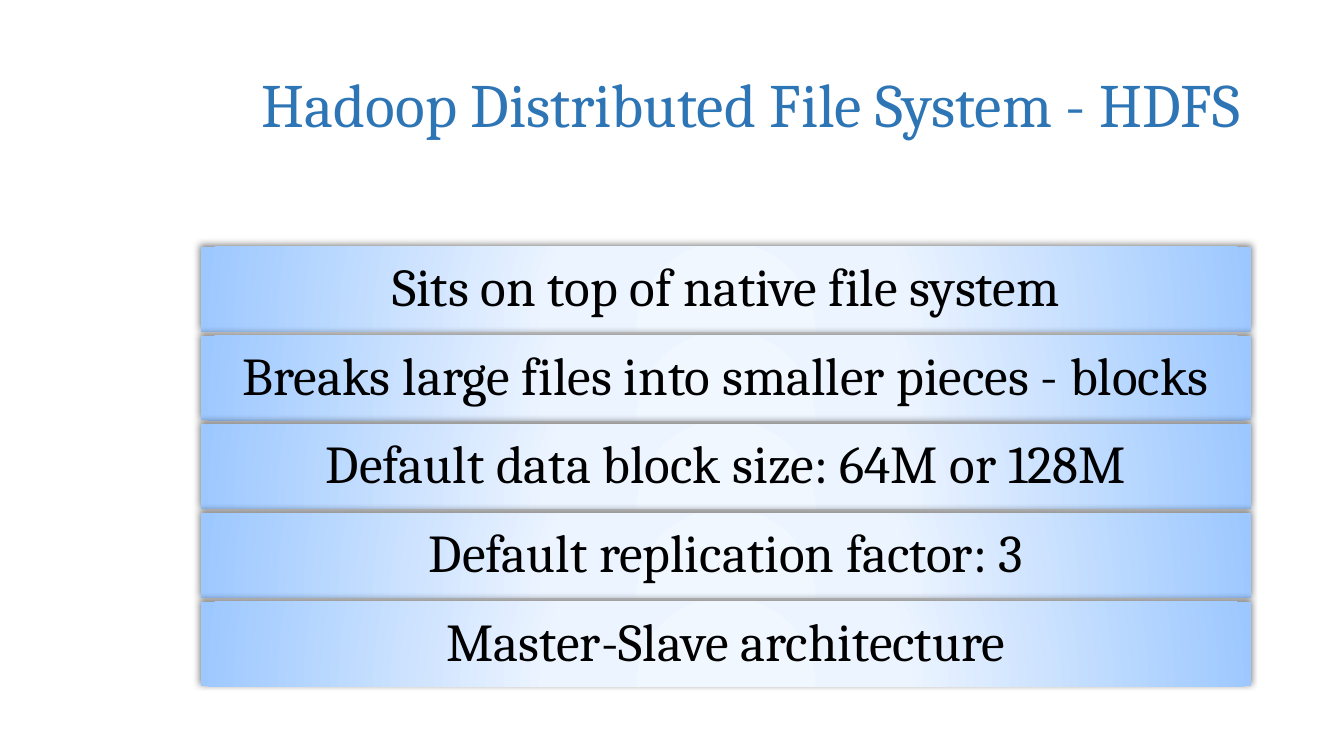
"""Build a slide on HDFS: a title above five stacked gradient bars."""
from dataclasses import dataclass

from pptx import Presentation
from pptx.dml.color import RGBColor
from pptx.enum.shapes import MSO_SHAPE
from pptx.enum.text import MSO_ANCHOR, PP_ALIGN
from pptx.oxml import parse_xml
from pptx.oxml.ns import nsdecls
from pptx.util import Inches, Pt

TITLE = "Hadoop Distributed File System - HDFS"
FACTS = [
    "Sits on top of native file system",
    "Breaks large files into smaller pieces - blocks",
    "Default data block size: 64M or 128M",
    "Default replication factor: 3",
    "Master-Slave architecture",
]


@dataclass(frozen=True)
class Theme:
    font: str = "Cambria"
    title_size: int = 44
    bar_size: int = 38
    title_color: str = "2E75B6"
    bar_color: str = "000000"
    shadow_color: str = "000000"
    gradient: tuple = ((0, "F1F7FF"), (34, "ECF4FF"), (100, "9DC8FF"))


THEME = Theme()
SLIDE_W, SLIDE_H = 13.33, 7.5
RIGHT = 12.41
TITLE_LEFT, TITLE_TOP, TITLE_H = 1.21, 0.44, 1.25
BAR_LEFT, BAR_TOP, BAR_H, BAR_PITCH = 1.99, 2.45, 0.84, 0.88
BAR_INSET = 0.11


def format_text(tf, text, size, color, align):
    tf.text = text
    tf.word_wrap = True
    tf.vertical_anchor = MSO_ANCHOR.MIDDLE
    p = tf.paragraphs[0]
    p.alignment = align
    p.line_spacing = 0.9
    p.font.name = THEME.font
    p.font.size = Pt(size)
    p.font.color.rgb = RGBColor.from_string(color)


def fill_radial(sp):
    stops = "".join(
        f'<a:gs pos="{pos * 1000}"><a:srgbClr val="{color}"/></a:gs>'
        for pos, color in THEME.gradient
    )
    fill = parse_xml(
        f'<a:gradFill {nsdecls("a")} rotWithShape="1"><a:gsLst>{stops}</a:gsLst>'
        '<a:path path="circle">'
        '<a:fillToRect l="50000" t="155000" r="50000" b="-55000"/>'
        "</a:path></a:gradFill>"
    )
    sp.element.spPr.prstGeom.addnext(fill)


def add_shadow(sp):
    sp.shadow.inherit = False
    effects = sp.element.spPr.find("{*}effectLst")
    effects.append(parse_xml(
        f'<a:outerShdw {nsdecls("a")} blurRad="{Pt(5)}" dist="{Pt(2)}" '
        f'dir="{245 * 60000}" rotWithShape="0">'
        f'<a:srgbClr val="{THEME.shadow_color}"><a:alpha val="50000"/></a:srgbClr>'
        "</a:outerShdw>"
    ))


def add_bar(slide, row, text):
    sp = slide.shapes.add_shape(
        MSO_SHAPE.RECTANGLE, Inches(BAR_LEFT), Inches(BAR_TOP + row * BAR_PITCH),
        Inches(RIGHT - BAR_LEFT), Inches(BAR_H))
    fill_radial(sp)
    sp.line.fill.background()
    add_shadow(sp)
    tf = sp.text_frame
    tf.margin_left = tf.margin_right = Inches(BAR_INSET)
    tf.margin_top = tf.margin_bottom = Inches(BAR_INSET)
    format_text(tf, text, THEME.bar_size, THEME.bar_color, PP_ALIGN.CENTER)


def main():
    prs = Presentation()
    prs.slide_width, prs.slide_height = Inches(SLIDE_W), Inches(SLIDE_H)
    slide = prs.slides.add_slide(prs.slide_layouts[5])

    title = slide.shapes.title
    title.left, title.top = Inches(TITLE_LEFT), Inches(TITLE_TOP)
    title.width, title.height = Inches(RIGHT - TITLE_LEFT), Inches(TITLE_H)
    format_text(title.text_frame, TITLE, THEME.title_size, THEME.title_color,
                PP_ALIGN.RIGHT)

    for row, fact in enumerate(FACTS):
        add_bar(slide, row, fact)
    prs.save("out.pptx")


if __name__ == "__main__":
    main()
